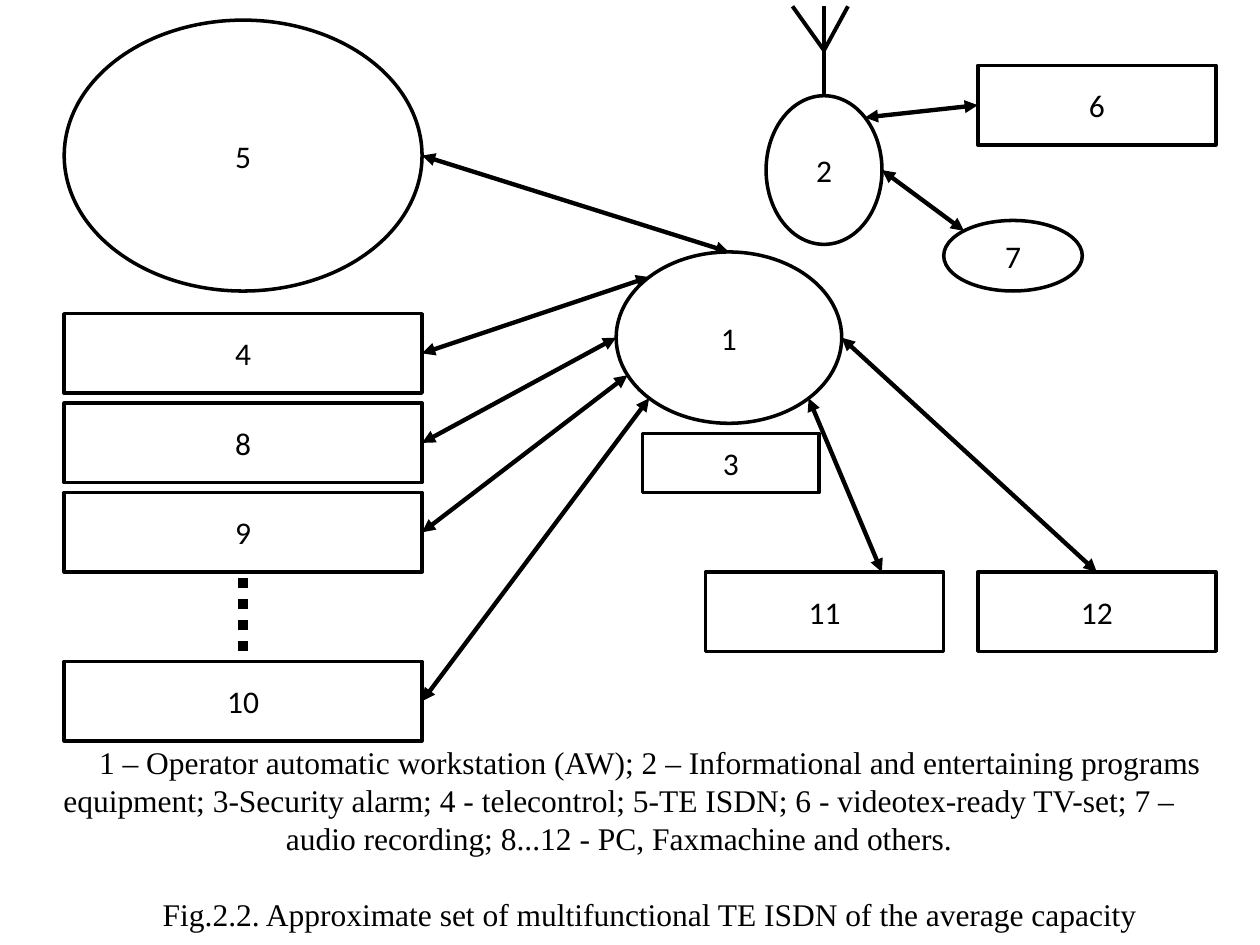
import collections
import math

import pptx
import pptx.dml.color
import pptx.enum.dml
import pptx.enum.shapes
import pptx.enum.text
import pptx.oxml
import pptx.oxml.ns
import pptx.util

COLORS = {"paper": "FFFFFF", "ink": "000000"}
CELL = pptx.util.Inches(0.1)
COLUMNS, ROWS = 100, 75
SHAPES = pptx.enum.shapes.MSO_SHAPE
Box = collections.namedtuple("Box", "left top width height")


def color(name):
    """Return a named colour as RGB."""
    return pptx.dml.color.RGBColor.from_string(COLORS[name])


def cells(*lengths):
    """Turn grid lengths into slide lengths."""
    return [round(length * CELL) for length in lengths]


def inside(box, left, top, width, height):
    """Return a box placed by grid offsets from another box."""
    return Box(box.left + left, box.top + top, width, height)


def share(box, across, down):
    """Return the point at the given shares of a box."""
    return box.left + box.width * across, box.top + box.height * down


def rim(box, degrees):
    """Return the point of an ellipse at a clockwise angle from the right."""
    angle = math.radians(degrees)
    return share(box, 0.5 + math.cos(angle) / 2, 0.5 + math.sin(angle) / 2)


def write(frame, text, font="Calibri", size=18, indent=0, before=0, first=True):
    """Write one centred paragraph into a text frame."""
    para = frame.paragraphs[0] if first else frame.add_paragraph()
    para.alignment = pptx.enum.text.PP_ALIGN.CENTER
    para.space_before = pptx.util.Pt(before)
    if indent:
        properties = para._p.get_or_add_pPr()
        properties.set("marL", "0")
        properties.set("indent", str(cells(indent)[0]))
    span = para.add_run()
    span.text = text
    span.font.name = font
    span.font.size = pptx.util.Pt(size)
    span.font.color.rgb = color("ink")


def node(page, box, label, kind=SHAPES.RECTANGLE):
    """Draw a numbered outline shape and return its box."""
    shape = page.shapes.add_shape(kind, *cells(*box))
    shape.shadow.inherit = False
    shape.fill.solid()
    shape.fill.fore_color.rgb = color("paper")
    shape.line.color.rgb = color("ink")
    shape.line.width = pptx.util.Pt(2)
    shape.text_frame.vertical_anchor = pptx.enum.text.MSO_ANCHOR.MIDDLE
    write(shape.text_frame, label)
    return box


def stroke(page, start, end, width=2.25, dash=None, arrows=False):
    """Draw a straight line, dashed or with an arrowhead at both ends."""
    line = page.shapes.add_connector(
        pptx.enum.shapes.MSO_CONNECTOR.STRAIGHT, *cells(*start, *end))
    line.line.color.rgb = color("ink")
    line.line.width = pptx.util.Pt(width)
    if dash:
        line.line.dash_style = dash
    if arrows:
        for tag in ("a:headEnd", "a:tailEnd"):
            head = pptx.oxml.ns.qn(tag)
            line.line._get_or_add_ln().append(
                line._element.makeelement(head, {"type": "triangle"}))
    line._element.spPr.append(
        line._element.makeelement(pptx.oxml.ns.qn("a:effectLst"), {}))


def terminals(page, box):
    """Draw the left column of terminals and return their boxes."""
    placed = {"5": node(page, inside(box, 0, 0, box.width, 21.5), "5", SHAPES.OVAL)}
    first, pitch, height = 23.3, 7.1, 6.3
    tops = {label: first + pitch * i for i, label in enumerate(("4", "8", "9"))}
    tops["10"] = box.height - height
    for label, top in tops.items():
        placed[label] = node(page, inside(box, 0, top, box.width, height), label)
    middle, top = share(placed["9"], 0.5, 1)
    stroke(page, (middle, top + 6.3), (middle, top), width=6,
           dash=pptx.enum.dml.MSO_LINE.ROUND_DOT)
    return placed


def workstation(page, box):
    """Draw the central station with its alarm and return its box."""
    center = node(page, inside(box, 0, 0, box.width, 13.6), "1", SHAPES.OVAL)
    node(page, inside(box, 2.1, 14.4, 14, 4.7), "3")
    return center


def entertainment(page, box):
    """Draw the programme equipment with its antenna, screen and recorder."""
    receiver = node(page, inside(box, 0, 7.1, 9.2, 11.8), "2", SHAPES.OVAL)
    screen = node(page, inside(box, 16.8, 4.7, 18.9, 6.3), "6")
    recorder = node(page, inside(box, 14.1, 17, 11, 5.6), "7", SHAPES.OVAL)
    foot, fork = share(receiver, 0.5, 0), (box.left + 4.6, box.top + 3.5)
    stroke(page, foot, (foot[0], box.top))
    for reach in (1.9, -2.5):
        stroke(page, fork, (fork[0] + reach, box.top))
    stroke(page, rim(recorder, 225), rim(receiver, 0), width=2.5, arrows=True)
    stroke(page, share(screen, 0, 0.5), rim(receiver, -45), width=2.5, arrows=True)


def outputs(page, box):
    """Draw the two lower terminals and return their boxes."""
    width = 18.9
    lefts = {"11": 0, "12": box.width - width}
    return {label: node(page, inside(box, left, 0, width, box.height), label)
            for label, left in lefts.items()}


def links(page, center, left, lower):
    """Join the central station to every terminal."""
    angles = {"10": 135, "9": 154, "8": 180, "4": 225, "5": 270}
    joints = [(angle, share(left[label], 1, 0.5)) for label, angle in angles.items()]
    joints += [(45, share(lower["11"], 0.74, 0)), (0, share(lower["12"], 0.5, 0))]
    for angle, end in joints:
        stroke(page, rim(center, angle), end, width=2.5, arrows=True)


def caption(page, box):
    """Write the legend and the figure title."""
    frame = page.shapes.add_textbox(*cells(*box)).text_frame
    frame.word_wrap = True
    frame.vertical_anchor = pptx.enum.text.MSO_ANCHOR.MIDDLE
    style = {"font": "Times New Roman", "indent": 4.9}
    write(frame, "1 – Operator automatic workstation (AW); 2 – Informational and "
          "entertaining programs equipment; 3-Security alarm; 4 - telecontrol; "
          "5-TE ISDN; 6 - videotex-ready TV-set; 7 – audio recording; "
          "8...12 - PC, Faxmachine and others.", **style)
    write(frame, "Fig.2.2. Approximate set of multifunctional TE ISDN of the "
          "average capacity", before=21.6, first=False, **style)


def main():
    """Build the slide and save it."""
    deck = pptx.Presentation()
    deck.slide_width, deck.slide_height = cells(COLUMNS, ROWS)
    page = deck.slides.add_slide(deck.slide_layouts[6])
    center = workstation(page, Box(48.9, 20, 17.9, 19.1))
    entertainment(page, Box(60.8, 0.5, 35.7, 22.6))
    lower = outputs(page, Box(56, 45.4, 40.5, 6.3))
    left = terminals(page, Box(5.1, 1.6, 28.4, 57.2))
    links(page, center, left, lower)
    caption(page, Box(1.5, 58.4, 95.3, 16.2))
    deck.save("out.pptx")


if __name__ == "__main__":
    main()
